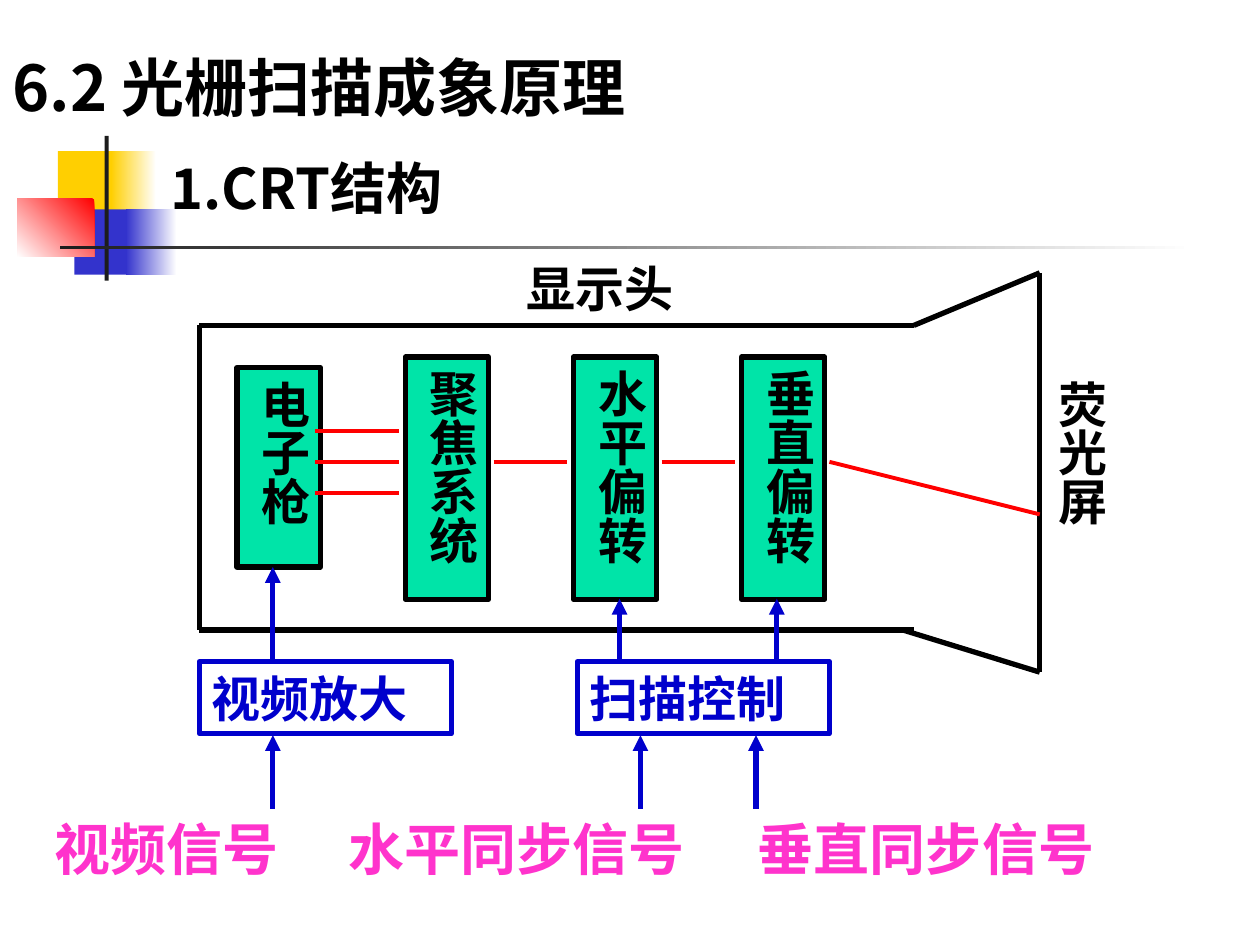
import pptx
import pptx.util
import pptx.dml.color
import pptx.enum.shapes
import pptx.enum.text
import pptx.oxml.ns
import lxml.etree

Cm, Pt = pptx.util.Cm, pptx.util.Pt
SANS, SERIF = "Noto Sans CJK SC", "Times New Roman"
BLACK, WHITE, RED, BLUE = "000000", "FFFFFF", "FF0000", "0000CC"
GREEN, PINK, DARK = "00E4A8", "FF33CC", "1C1C1C"
GOLD, NAVY = "FFCF01", "3333CC"


def rgb(code):
    return pptx.dml.color.RGBColor.from_string(code)


def add_sub(parent, tag, **attrs):
    return lxml.etree.SubElement(parent, pptx.oxml.ns.qn(tag), attrs)


def write(shape, text, size, color, font=SERIF, vert=False):
    """Fill a shape, text box or placeholder with one bold paragraph."""
    frame = shape.text_frame
    frame.text = text
    frame.word_wrap = True
    frame.auto_size = pptx.enum.text.MSO_AUTO_SIZE.SHAPE_TO_FIT_TEXT
    frame.vertical_anchor = pptx.enum.text.MSO_ANCHOR.TOP
    side, end = (0.13, 0.25) if vert else (0.25, 0.13)
    frame.margin_left = frame.margin_right = Cm(side)
    frame.margin_top = frame.margin_bottom = Cm(end)
    if vert:
        frame._txBody.bodyPr.set("vert", "eaVert")
    para = frame.paragraphs[0]
    para.alignment = pptx.enum.text.PP_ALIGN.LEFT
    para.space_before = Pt(size * 0.625)
    para.font.name, para.font.size, para.font.bold = font, Pt(size), True
    para.font.color.rgb = rgb(color)


def add_label(slide, box, text, size, color, font=SERIF, vert=False):
    label = slide.shapes.add_textbox(*map(Cm, box))
    write(label, text, size, color, font, vert)


def add_rect(slide, box, fill=None, line=None):
    rect = slide.shapes.add_shape(
        pptx.enum.shapes.MSO_SHAPE.RECTANGLE, *map(Cm, box))
    rect.shadow.inherit = False
    if fill:
        rect.fill.solid()
        rect.fill.fore_color.rgb = rgb(fill)
    else:
        rect.fill.background()
    if line:
        rect.line.color.rgb = rgb(line)
        rect.line.width = Pt(3)
    else:
        rect.line.fill.background()
    return rect


def add_fade(slide, box, first, last, angle=180):
    rect = add_rect(slide, box)
    rect.fill.gradient()
    rect.fill.gradient_angle = angle
    for stop, color in zip(rect.fill.gradient_stops, (first, last)):
        stop.color.rgb = rgb(color)


def add_line(slide, start, end, color, width=3.0, arrow=False):
    """Draw a straight line; an arrow points at its start."""
    line = slide.shapes.add_connector(
        pptx.enum.shapes.MSO_CONNECTOR.STRAIGHT, *map(Cm, start + end))
    line.line.color.rgb = rgb(color)
    line.line.width = Pt(width)
    if arrow:
        add_sub(line.line._get_or_add_ln(), "a:headEnd", type="triangle")
    add_sub(line._element.spPr, "a:effectLst")


def add_decor(slide):
    add_rect(slide, (1.17, 3.05, 1.22, 1.32), GOLD)
    add_fade(slide, (2.24, 3.05, 0.91, 1.32), WHITE, GOLD)
    add_rect(slide, (1.5, 4.22, 1.17, 1.32), NAVY)
    add_fade(slide, (2.54, 4.22, 1.02, 1.32), WHITE, NAVY)
    add_fade(slide, (0.35, 4.01, 1.55, 1.17), RED, WHITE, 225)
    add_rect(slide, (2.11, 2.74, 0.08, 2.92), DARK)
    add_fade(slide, (1.22, 4.95, 22.86, 0.08), WHITE, DARK)


def add_heads(slide):
    title = slide.shapes.title
    title.left, title.top, title.width, title.height = map(
        Cm, (0, 0.84, 17.78, 1.78))
    write(title, "6.2 光栅扫描成象原理", 36, BLACK, SANS)
    add_label(slide, (3.18, 2.97, 7.19, 1.63), "1.CRT结构", 32, BLACK, SANS)


def add_tube(slide):
    left, neck, screen = 4.02, 18.42, 20.96
    top, base = 6.56, 12.7
    for start, end in (
        ((left, top), (neck, top)),
        ((left, base), (neck, base)),
        ((left, top), (left, base)),
        ((neck, top), (screen, 5.5)),
        ((18.2, base), (screen, 13.55)),
        ((screen, 5.5), (screen, 13.55)),
    ):
        add_line(slide, start, end, BLACK)
    add_label(slide, (10.37, 5.08, 5.92, 1.45), "显示头", 28, BLACK)
    add_label(slide, (20.85, 7.41, 1.68, 4.88), "荧光屏", 28, BLACK, vert=True)


def add_stages(slide, step):
    stages = (("电子枪", 7.41, 4.02), ("聚焦系统", 7.2, 4.88),
              ("水平偏转", 7.2, 4.88), ("垂直偏转", 7.2, 4.88))
    for i, (name, top, height) in enumerate(stages):
        box = (4.78 + i * step, top, 1.68, height)
        write(add_rect(slide, box, GREEN, BLACK), name, 28, BLACK, vert=True)


def add_beams(slide, step):
    mid = 9.31
    for i in (-1, 0, 1):
        y = mid + i * 0.63
        add_line(slide, (6.35, y), (8.04, y), RED, 2.25)
    for x in (9.95, 9.95 + step):
        add_line(slide, (x, mid), (x + 1.48, mid), RED, 2.25)
    add_line(slide, (16.72, mid), (20.96, 10.37), RED, 2.25)


def add_inputs(slide):
    for name, left in (("视频放大", 4.02), ("扫描控制", 11.64)):
        box = (left, 13.34, 5.08, 1.45)
        write(add_rect(slide, box, line=BLUE), name, 28, BLUE)
    for x, top, base in (
        (5.5, 11.43, 13.34), (12.49, 12.07, 13.34), (15.66, 12.07, 13.34),
        (5.5, 14.82, 16.3), (12.91, 14.82, 16.3), (15.24, 14.82, 16.3),
    ):
        add_line(slide, (x, top), (x, base), BLUE, arrow=True)
    for name, left, width in (("视频信号", 0.85, 5.08),
                              ("水平同步信号", 6.77, 8.04),
                              ("垂直同步信号", 15.03, 8.04)):
        add_label(slide, (left, 16.3, width, 1.63), name, 32, PINK)


def main():
    deck = pptx.Presentation()
    deck.slide_width, deck.slide_height = Cm(25.4), Cm(19.05)
    slide = deck.slides.add_slide(deck.slide_layouts[5])
    step = 3.39
    add_decor(slide)
    add_heads(slide)
    add_tube(slide)
    add_stages(slide, step)
    add_beams(slide, step)
    add_inputs(slide)
    deck.save("out.pptx")


if __name__ == "__main__":
    main()
